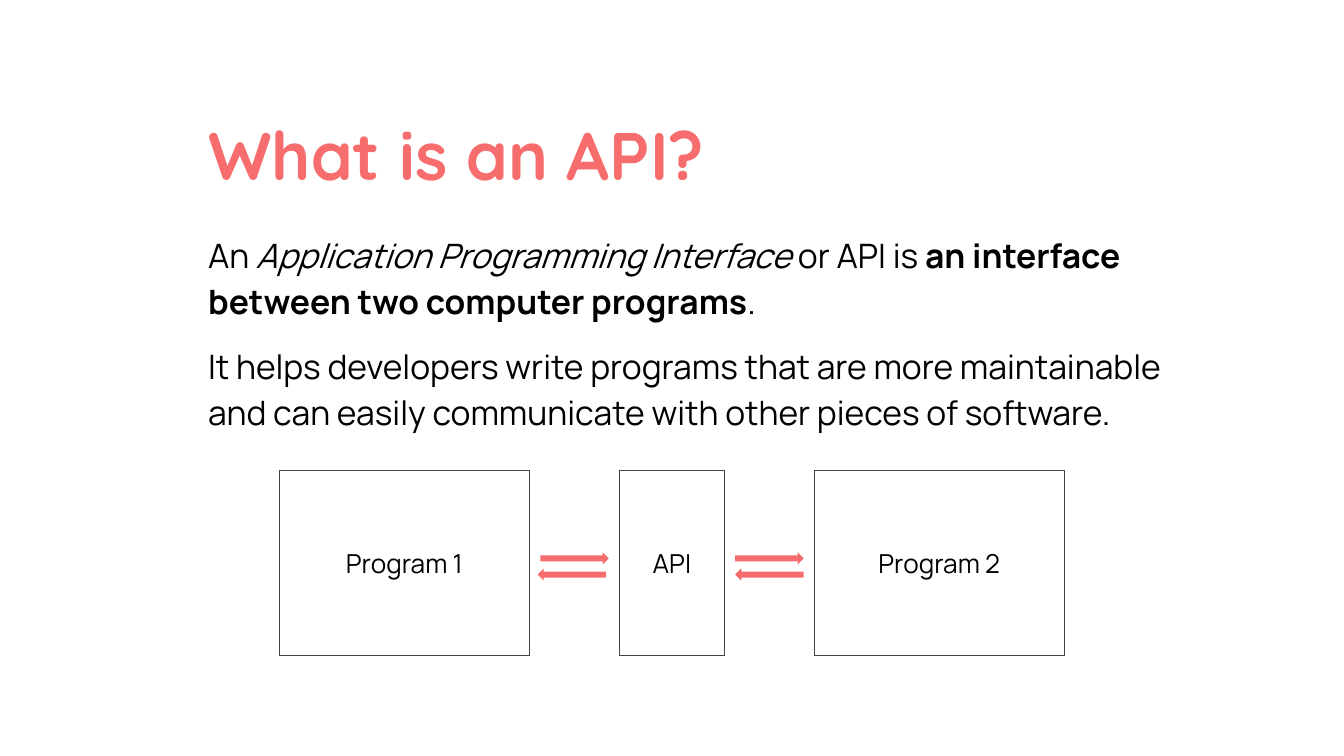
from dataclasses import dataclass

from pptx import Presentation
from pptx.dml.color import RGBColor
from pptx.enum.shapes import MSO_SHAPE
from pptx.enum.text import MSO_ANCHOR, PP_ALIGN
from pptx.util import Inches, Pt


@dataclass(frozen=True)
class Theme:
    accent: RGBColor = RGBColor(0xF7, 0x6C, 0x6C)
    ink: RGBColor = RGBColor(0, 0, 0)
    outline: RGBColor = RGBColor(0x42, 0x42, 0x42)
    paper: RGBColor = RGBColor(0xFF, 0xFF, 0xFF)
    heading_font: str = "Quicksand"
    body_font: str = "Manrope"
    title_size: int = 36
    body_size: int = 18
    label_size: int = 14


THEME = Theme()

BODY = [
    [
        ("An ", {}),
        ("Application Programming Interface ", {"italic": True}),
        ("or API is ", {}),
        ("an interface between two computer programs", {"bold": True}),
        (".", {}),
    ],
    [
        ("It helps developers write programs that are more maintainable "
         "and can easily communicate with other pieces of software.", {}),
    ],
]


def set_all(target, values):
    for name, value in values.items():
        setattr(target, name, value)


def prepare_frame(shape, anchor):
    inset = Inches(0.1)
    frame = shape.text_frame
    set_all(frame, {
        "word_wrap": True, "vertical_anchor": anchor,
        "margin_left": inset, "margin_right": inset,
        "margin_top": inset, "margin_bottom": inset,
    })
    return frame


def add_span(para, text, size, font=THEME.body_font, color=THEME.ink, **styles):
    span = para.add_run()
    span.text = text
    set_all(span.font, {"name": font, "size": Pt(size), **styles})
    span.font.color.rgb = color


def place_title(page, left, top, width, height):
    title = page.shapes.title
    set_all(title, {"left": Inches(left), "top": Inches(top),
                    "width": Inches(width), "height": Inches(height)})
    para = prepare_frame(title, MSO_ANCHOR.TOP).paragraphs[0]
    para.alignment = PP_ALIGN.LEFT
    add_span(para, "What is an API?", THEME.title_size,
             THEME.heading_font, THEME.accent, bold=True)


def place_body(page, left, top, width, height):
    box = page.shapes.add_textbox(Inches(left), Inches(top),
                                  Inches(width), Inches(height))
    frame = prepare_frame(box, MSO_ANCHOR.MIDDLE)
    for index, spans in enumerate(BODY):
        para = frame.add_paragraph() if index else frame.paragraphs[0]
        para.line_spacing = 1.15
        if index:
            set_all(para, {"space_before": Pt(10), "space_after": Pt(10)})
        for text, styles in spans:
            add_span(para, text, THEME.body_size, **styles)


def add_node(page, label, left, top, width, height):
    node = page.shapes.add_shape(MSO_SHAPE.RECTANGLE, Inches(left), Inches(top),
                                 Inches(width), Inches(height))
    node.shadow.inherit = False
    node.fill.background()
    node.line.color.rgb = THEME.outline
    node.line.width = Pt(0.75)
    para = prepare_frame(node, MSO_ANCHOR.MIDDLE).paragraphs[0]
    para.alignment = PP_ALIGN.CENTER
    add_span(para, label, THEME.label_size)


def add_exchange(page, left, top, gap, return_shift):
    """Draw a request arrow and a return arrow, centred in a gap."""
    width, height, pitch = 0.51, 0.09, 0.12
    start = left + (gap - width) / 2
    for row, (shift, rotation) in enumerate([(0, 0), (return_shift, 180)]):
        arrow = page.shapes.add_shape(
            MSO_SHAPE.RIGHT_ARROW, Inches(start + shift),
            Inches(top + row * pitch), Inches(width), Inches(height))
        arrow.rotation = rotation
        arrow.shadow.inherit = False
        arrow.fill.solid()
        arrow.fill.fore_color.rgb = THEME.accent
        arrow.line.fill.background()


def place_diagram(page, left, top, height):
    gap = 0.67
    # Label, width, and shift of the return arrow that follows the node
    nodes = [("Program 1", 1.86, -0.02), ("API", 0.78, 0), ("Program 2", 1.86, 0)]
    for index, (label, width, return_shift) in enumerate(nodes):
        add_node(page, label, left, top, width, height)
        left += width
        if index < len(nodes) - 1:
            add_exchange(page, left, top + 0.61, gap, return_shift)
            left += gap


def main():
    deck = Presentation()
    # Widescreen, 16 to 9
    set_all(deck, {"slide_width": Inches(10), "slide_height": Inches(10 * 9 / 16)})
    page = deck.slides.add_slide(deck.slide_layouts.get_by_name("Title Only"))
    page.background.fill.solid()
    page.background.fill.fore_color.rgb = THEME.paper

    # Heading, explanation, then the two programs joined by the API
    place_title(page, 1.45, 0.74, 5, 0.68)
    place_body(page, 1.45, 1.42, 7.67, 2.08)
    place_diagram(page, 2.08, 3.5, 1.38)
    deck.save("out.pptx")


if __name__ == "__main__":
    main()
